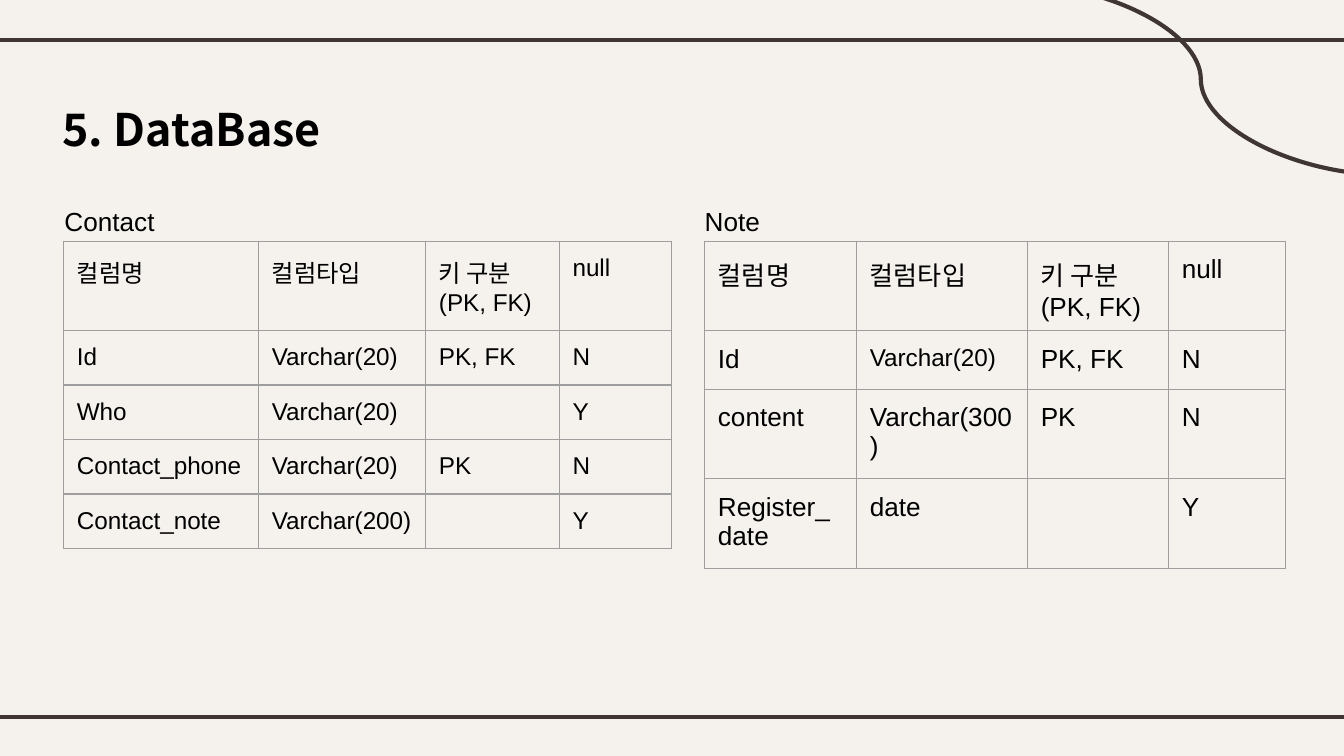
from lxml.etree import SubElement
from pptx import Presentation
from pptx.dml.color import RGBColor
from pptx.enum.shapes import MSO_CONNECTOR
from pptx.enum.text import MSO_ANCHOR, MSO_AUTO_SIZE, PP_ALIGN
from pptx.oxml.ns import qn
from pptx.util import Pt

BACKGROUND = RGBColor(0xF5, 0xF2, 0xEE)
INK = RGBColor(0x3F, 0x35, 0x33)
BLACK = RGBColor(0, 0, 0)
BORDER = RGBColor(0x9E, 0x9E, 0x9E)
FONT, TITLE_FONT = "Arial", "Noto Sans CJK KR"
ROW_HEIGHT, CELL_MARGIN = 29.2, 7.2

# Content
TITLE = "5. DataBase"
TABLES = [
    dict(name="Contact", label_left=27.4, left=34, top=129.4, size=13,
         columns=[104.4, 89.6, 71.6, 60.4], sizes={},
         rows=[["컬럼명", "컬럼타입", "키 구분\n(PK, FK)", "null"],
               ["Id", "Varchar(20)", "PK, FK", "N"],
               ["Who", "Varchar(20)", "", "Y"],
               ["Contact_phone", "Varchar(20)", "PK", "N"],
               ["Contact_note", "Varchar(200)", "", "Y"]]),
    dict(name="Note", label_left=370.4, left=377.4, top=129.2, size=14,
         columns=[81.4, 91.6, 75.6, 62.6], sizes={"Varchar(20)": 13},
         rows=[["컬럼명", "컬럼타입", "키 구분(PK, FK)", "null"],
               ["Id", "Varchar(20)", "PK, FK", "N"],
               ["content", "Varchar(300)", "PK", "N"],
               ["Register_date", "date", "", "Y"]]),
]
# Kind, then start and end points
LINES = [
    (MSO_CONNECTOR.STRAIGHT, -6, 21.4, 726, 21.4),
    (MSO_CONNECTOR.STRAIGHT, -6, 384, 726, 384),
    (MSO_CONNECTOR.CURVE, 542.2, -8.8, 744.4, 93.8),
]


def style(font, size, name=FONT, bold=False):
    font.size, font.name, font.bold = Pt(size), name, bold
    font.color.rgb = BLACK


def add_line(kind, *points):
    line = slide.shapes.add_connector(kind, *map(Pt, points))
    line.line.color.rgb = INK
    line.line.width = Pt(2.25)
    SubElement(line._element.spPr, qn("a:effectLst"))


def add_borders(cell):
    tc_pr = cell._tc.get_or_add_tcPr()
    for side in ("a:lnL", "a:lnR", "a:lnT", "a:lnB"):
        ln = SubElement(tc_pr, qn(side), w=str(Pt(0.75)))
        fill = SubElement(ln, qn("a:solidFill"))
        SubElement(fill, qn("a:srgbClr"), val=str(BORDER))


def add_label(text, left):
    tf = slide.shapes.add_textbox(Pt(left), Pt(98), Pt(262.8), Pt(31.7)).text_frame
    tf.word_wrap = True
    p = tf.paragraphs[0]
    p.text, p.line_spacing = text, 1.5
    style(p.font, 14)


def add_schema(name, label_left, left, top, size, columns, sizes, rows):
    frame = slide.shapes.add_table(
        len(rows), len(columns), Pt(left), Pt(top),
        Pt(sum(columns)), Pt(ROW_HEIGHT * len(rows)))
    table = frame.table
    table.first_row = table.horz_banding = False
    for column, width in zip(table.columns, columns):
        column.width = Pt(width)
    for r, row in enumerate(rows):
        table.rows[r].height = Pt(ROW_HEIGHT)
        for c, text in enumerate(row):
            cell = table.cell(r, c)
            cell.text = text
            cell.margin_left = cell.margin_right = Pt(CELL_MARGIN)
            # Empty cells need no padding, so they never stretch the row
            cell.margin_top = cell.margin_bottom = Pt(CELL_MARGIN if text else 0)
            for p in cell.text_frame.paragraphs:
                style(p.font, sizes.get(text, size))
            add_borders(cell)
            cell.fill.background()
    add_label(name, label_left)


# Slide and background
prs = Presentation()
prs.slide_width, prs.slide_height = Pt(720), Pt(405)
slide = prs.slides.add_slide(prs.slide_layouts[5])
slide.background.fill.solid()
slide.background.fill.fore_color.rgb = BACKGROUND

# Frame lines and corner curve
for line in LINES:
    add_line(*line)

# Title, set in by one large space
title = slide.shapes.title
title.left, title.top, title.width, title.height = map(Pt, (18, 17.3, 632.2, 70.6))
tf = title.text_frame
tf.auto_size = MSO_AUTO_SIZE.NONE
tf.vertical_anchor = MSO_ANCHOR.BOTTOM
p = tf.paragraphs[0]
p.alignment, p.line_spacing = PP_ALIGN.LEFT, 1.5
for text, size, name in ((" ", 30, FONT), (TITLE, 24, TITLE_FONT)):
    r = p.add_run()
    r.text = text
    style(r.font, size, name, bold=True)

# Tables with their labels
for schema in TABLES:
    add_schema(**schema)

prs.save("out.pptx")
